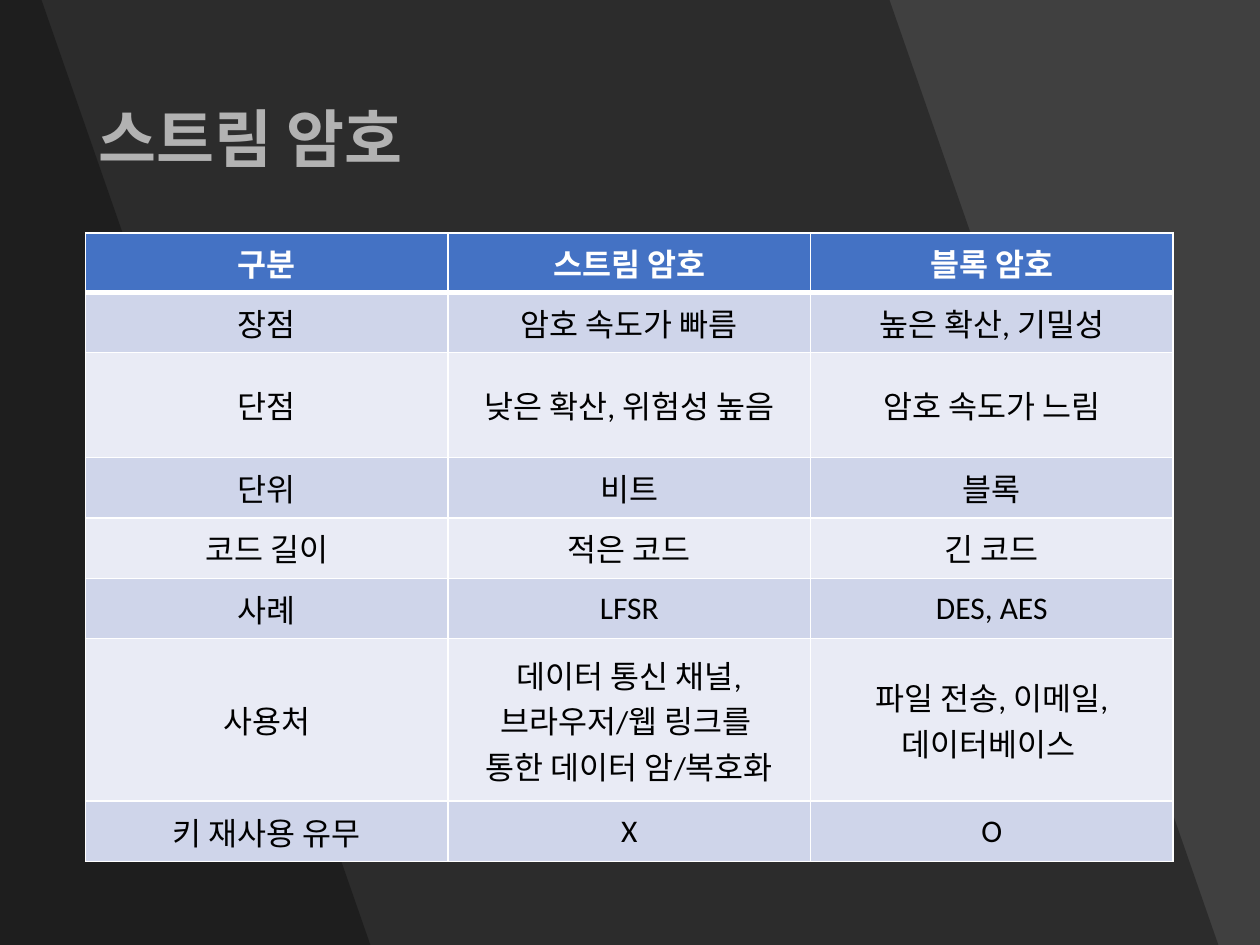
import pptx
import pptx.dml.color
import pptx.enum.text
import pptx.oxml
import pptx.oxml.ns
import pptx.util
from pptx.util import Inches

COLORS = {
    "background": "404040",
    "shade": "000000",
    "header": "4472C4",
    "band_dark": "CFD5EA",
    "band_light": "E9EBF5",
    "light": "FFFFFF",
    "body": "000000",
}
FONT = "Calibri"
LEFT, WIDTH = 0.68, 8.63
SLIDE_HEIGHT = 7.5
SLANT = 2.61

ROWS = [
    ("구분", "스트림 암호", "블록 암호"),
    ("장점", "암호 속도가 빠름", "높은 확산, 기밀성"),
    ("단점", "낮은 확산, 위험성 높음", "암호 속도가 느림"),
    ("단위", "비트", "블록"),
    ("코드 길이", "적은 코드", "긴 코드"),
    ("사례", "LFSR", "DES, AES"),
    ("사용처", "데이터 통신 채널,\n브라우저/웹 링크를 \n통한 데이터 암/복호화",
     "파일 전송, 이메일, 데이터베이스 "),
    ("키 재사용 유무", "X", "O"),
]
ROW_HEIGHTS = [0.47, 0.48, 0.83, 0.48, 0.48, 0.48, 1.29, 0.48]


def rgb(name):
    return pptx.dml.color.RGBColor.from_string(COLORS[name])


class SlideBuilder:
    def __init__(self, slide):
        self.slide = slide

    def background(self):
        fill = self.slide.background.fill
        fill.solid()
        fill.fore_color.rgb = rgb("background")

    def format_text(self, paragraph, size, color, bold, align):
        paragraph.alignment = align
        font = paragraph.font
        font.name = FONT
        font.size = pptx.util.Pt(size)
        font.bold = bold
        font.color.rgb = rgb(color)

    def slanted_shade(self, top_width, opacity=30):
        """Darken the slide from its left edge to a slanted right edge."""
        outline = self.slide.shapes.build_freeform(0, 0)
        outline.add_line_segments([
            (Inches(top_width), 0),
            (Inches(top_width + SLANT), Inches(SLIDE_HEIGHT)),
            (0, Inches(SLIDE_HEIGHT)),
        ])
        shade = outline.convert_to_shape()
        shade.shadow.inherit = False
        shade.line.fill.background()
        shade.fill.solid()
        shade.fill.fore_color.rgb = rgb("shade")
        color = shade.fill._xPr.find(".//" + pptx.oxml.ns.qn("a:srgbClr"))
        color.append(pptx.oxml.parse_xml(
            f'<a:alpha {pptx.oxml.ns.nsdecls("a")} val="{opacity * 1000}"/>'))

    def title(self, text):
        title = self.slide.shapes.title
        title.left, title.top = Inches(LEFT), Inches(0.4)
        title.width, title.height = Inches(WIDTH), Inches(1.45)
        frame = title.text_frame
        frame.text = text
        frame.word_wrap = True
        frame.vertical_anchor = pptx.enum.text.MSO_ANCHOR.MIDDLE
        heading = frame.paragraphs[0]
        heading.line_spacing = 0.9
        self.format_text(heading, 36, "light", True, pptx.enum.text.PP_ALIGN.LEFT)

    def borders(self, cell, top, bottom):
        widths = {"L": 1, "R": 1, "T": top, "B": bottom}
        for position, (side, width) in enumerate(widths.items()):
            cell._tc.get_or_add_tcPr().insert(position, pptx.oxml.parse_xml(
                f'<a:ln{side} {pptx.oxml.ns.nsdecls("a")} w="{pptx.util.Pt(width)}">'
                f'<a:solidFill><a:srgbClr val="{COLORS["light"]}"/></a:solidFill>'
                f'</a:ln{side}>'))

    def cell(self, cell, text, row):
        is_header = row == 0
        cell.text = text
        cell.vertical_anchor = pptx.enum.text.MSO_ANCHOR.MIDDLE
        for paragraph in cell.text_frame.paragraphs:
            self.format_text(paragraph, 18, "light" if is_header else "body",
                             is_header, pptx.enum.text.PP_ALIGN.CENTER)
        band = "band_dark" if row % 2 else "band_light"
        cell.fill.solid()
        cell.fill.fore_color.rgb = rgb("header" if is_header else band)
        self.borders(cell, top=3 if row == 1 else 1, bottom=3 if is_header else 1)

    def table(self, rows, heights):
        columns = len(rows[0])
        table = self.slide.shapes.add_table(
            len(rows), columns, Inches(LEFT), Inches(1.85),
            Inches(WIDTH), Inches(sum(heights))).table
        for row, (texts, height) in enumerate(zip(rows, heights)):
            table.rows[row].height = Inches(height)
            for column, text in enumerate(texts):
                self.cell(table.cell(row, column), text, row)


def main():
    deck = pptx.Presentation()
    deck.slide_width, deck.slide_height = Inches(10), Inches(SLIDE_HEIGHT)
    builder = SlideBuilder(deck.slides.add_slide(deck.slide_layouts[5]))
    builder.background()
    for top_width in (7.06, 0.33):
        builder.slanted_shade(top_width)
    builder.title("스트림 암호")
    builder.table(ROWS, ROW_HEIGHTS)
    deck.save("out.pptx")


if __name__ == "__main__":
    main()
